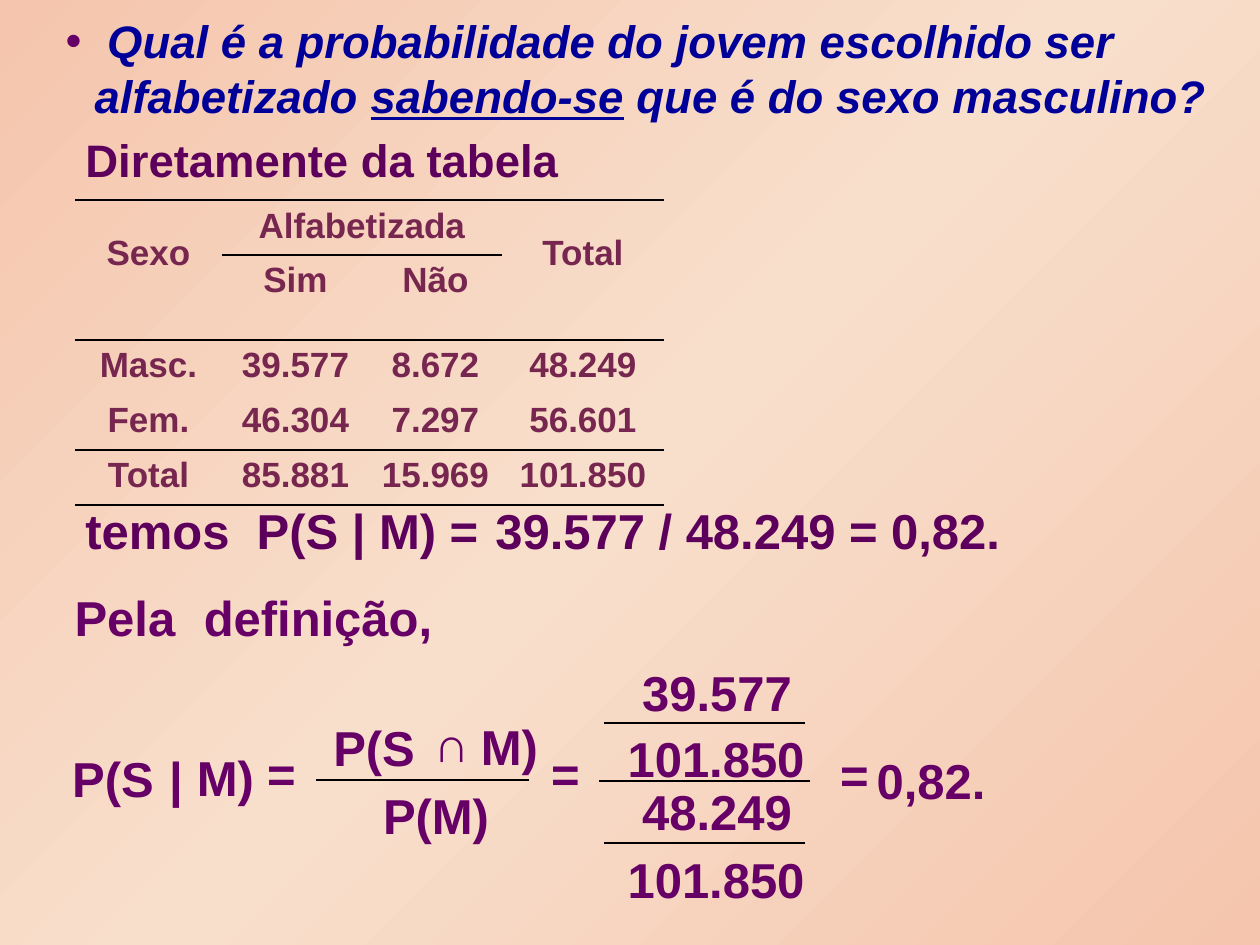
from copy import deepcopy
from dataclasses import dataclass

from lxml import etree
from pptx import Presentation
from pptx import util as u
from pptx.dml.color import RGBColor
from pptx.enum import shapes, text
from pptx.oxml.ns import qn

PX = 914400 / 126
NO_TABLE_STYLE = "{2D5ABB26-0587-4C30-8999-92F81FD0307C}"


def px(length):
    return u.Emu(round(length * PX))


@dataclass(frozen=True)
class Theme:
    font: str = "Arial"
    question: str = "000099"
    formula: str = "660066"
    step: str = "5C005C"
    table: str = "77274F"
    rule: str = "000000"
    backdrop: tuple = ((0, "F5C5AD"), (0.5, "F8DFCC"), (1, "F5C5AD"))
    heading_size: int = 26
    formula_size: int = 28
    table_size: int = 20
    table_rule: float = 1.08


class Board:
    """Holds the theme and the slide being filled."""

    def __init__(self, slide, theme):
        self.slide = slide
        self.theme = theme

    def style(self, paragraph, size, color, italic=None):
        font = paragraph.font
        font.name, font.size = self.theme.font, u.Pt(size)
        font.bold, font.italic = True, italic
        font.color.rgb = RGBColor.from_string(color)

    def backdrop(self):
        fill = self.slide.background.fill
        fill.gradient()
        fill.gradient_angle = 135
        stops = next(self.slide._element.iter(qn("a:gsLst")))
        stops.append(deepcopy(stops[0]))
        for stop, (position, color) in zip(fill.gradient_stops, self.theme.backdrop):
            stop.position = position
            stop.color.rgb = RGBColor.from_string(color)

    def question(self, x, y, w, h, parts, hanging):
        """Fill the title as a bulleted question; parts are (words, underlined)."""
        title = self.slide.shapes.title
        title.left, title.top, title.width, title.height = map(px, (x, y, w, h))
        frame = title.text_frame
        frame.auto_size = text.MSO_AUTO_SIZE.NONE
        frame.vertical_anchor = text.MSO_ANCHOR.MIDDLE
        paragraph = frame.paragraphs[0]
        paragraph.alignment = text.PP_ALIGN.LEFT
        properties = paragraph._p.get_or_add_pPr()
        properties.set("marL", str(px(hanging)))
        properties.set("indent", str(-px(hanging)))
        bullet_color = etree.SubElement(properties, qn("a:buClr"))
        etree.SubElement(bullet_color, qn("a:srgbClr"), val=self.theme.formula)
        etree.SubElement(properties, qn("a:buFont"), typeface=self.theme.font)
        etree.SubElement(properties, qn("a:buChar"), char="•")
        self.style(paragraph, self.theme.heading_size, self.theme.question, True)
        for words, underlined in parts:
            run = paragraph.add_run()
            run.text = words
            if underlined:
                run.font.underline = True

    def step(self, x, y, w, h, words, size):
        frame = self.slide.shapes.add_textbox(*map(px, (x, y, w, h))).text_frame
        frame.word_wrap = True
        frame.text = words
        self.style(frame.paragraphs[0], size, self.theme.step)

    def term(self, x, y, w, words):
        """Place one piece of a formula, centred with no margins."""
        frame = self.slide.shapes.add_textbox(*map(px, (x, y, w, 59))).text_frame
        frame.margin_left = frame.margin_top = 0
        frame.margin_right = frame.margin_bottom = 0
        frame.word_wrap = False
        frame.auto_size = text.MSO_AUTO_SIZE.SHAPE_TO_FIT_TEXT
        frame.text = words
        paragraph = frame.paragraphs[0]
        paragraph.alignment = text.PP_ALIGN.CENTER
        self.style(paragraph, self.theme.formula_size, self.theme.formula)

    def fraction_bar(self, left, right, y, weight):
        bar = self.slide.shapes.add_connector(
            shapes.MSO_CONNECTOR.STRAIGHT, px(left), px(y), px(right), px(y))
        bar.line.width = u.Pt(weight)
        bar.line.color.rgb = RGBColor.from_string(self.theme.rule)
        etree.SubElement(bar._element.spPr, qn("a:effectLst"))

    def cell_edges(self, cell, above, below):
        """Draw the asked rules and turn every other edge of the cell off."""
        properties = cell._tc.get_or_add_tcPr()
        edges = {"a:lnL": False, "a:lnR": False, "a:lnT": above, "a:lnB": below}
        for edge, drawn in edges.items():
            line = etree.SubElement(properties, qn(edge),
                                    w=str(u.Pt(self.theme.table_rule)))
            if drawn:
                fill = etree.SubElement(line, qn("a:solidFill"))
                etree.SubElement(fill, qn("a:srgbClr"), val=self.theme.rule)
            else:
                etree.SubElement(line, qn("a:noFill"))

    def table(self, x, y, widths, heights, rows, merges, ruled, low):
        """ruled holds the (row, column) places with a line on top; low is the
        top margin of cells that span rows."""
        frame = self.slide.shapes.add_table(
            len(rows), len(widths), px(x), px(y), px(sum(widths)), px(sum(heights)))
        grid = frame.table
        grid.first_row = grid.horz_banding = False
        grid._tbl.tblPr.find(qn("a:tableStyleId")).text = NO_TABLE_STYLE
        for column, width in zip(grid.columns, widths):
            column.width = px(width)
        for row, height in zip(grid.rows, heights):
            row.height = px(height)
        for start, end in merges:
            grid.cell(*start).merge(grid.cell(*end))
        for r, row in enumerate(rows):
            for c, words in enumerate(row):
                cell = grid.cell(r, c)
                span = cell.span_height if cell.is_merge_origin else 1
                self.cell_edges(cell, (r, c) in ruled, (r + span, c) in ruled)
                cell.fill.background()
                if span > 1:
                    cell.margin_top = px(low)
                if words:
                    cell.text = words
                    paragraph = cell.text_frame.paragraphs[0]
                    paragraph.alignment = text.PP_ALIGN.CENTER
                    self.style(paragraph, self.theme.table_size, self.theme.table)


def main():
    deck = Presentation()
    deck.slide_width, deck.slide_height = px(1260), px(945)
    theme = Theme()
    board = Board(deck.slides.add_slide(deck.slide_layouts[5]), theme)
    board.backdrop()
    board.question(53, 0, 1176, 136, [
        (" Qual é a probabilidade do jovem escolhido ser alfabetizado ", False),
        ("sabendo-se", True),
        (" que é do sexo masculino?", False)], hanging=29)

    board.step(73, 126, 1081, 68, "Diretamente da tabela", theme.heading_size)
    board.step(73, 494, 420, 72, "temos  P(S | M) =", theme.formula_size)
    board.step(483, 494, 557, 72, "39.577 / 48.249 = 0,82.", theme.formula_size)

    full_rules = {(r, c) for r in (0, 2, 4, 5) for c in range(4)}
    board.table(
        75, 200, (147, 147, 133, 162), (55, 85, 55, 55, 55),
        [("Sexo", "Alfabetizada", "", "Total"),
         ("", "Sim", "Não", ""),
         ("Masc.", "39.577", "8.672", "48.249"),
         ("Fem.", "46.304", "7.297", "56.601"),
         ("Total", "85.881", "15.969", "101.850")],
        merges=[((0, 0), (1, 0)), ((0, 1), (0, 2)), ((0, 3), (1, 3))],
        ruled=full_rules | {(1, 1), (1, 2)}, low=34)

    definition = [
        (74, 588, 102, "Pela"), (203, 588, 230, "definição,"),
        (72, 748, 82, "P(S"), (169, 748, 14, "|"), (197, 748, 57, "M)"),
        (262, 743, 39, "="),
        (333, 717, 82, "P(S"), (432, 713, 39, "∩"), (481, 717, 57, "M)"),
        (383, 786, 106, "P(M)"),
        (546, 743, 39, "="),
        (642, 662, 150, "39.577"), (627, 728, 178, "101.850"),
        (642, 781, 150, "48.249"), (627, 849, 178, "101.850"),
        (835, 745, 39, "="), (876, 750, 110, "0,82.")]
    for term in definition:
        board.term(*term)

    for bar in [(316, 529, 780, 1.5), (599, 810, 781, 1.5),
                (604, 805, 723, 0.75), (604, 805, 843, 0.75)]:
        board.fraction_bar(*bar)

    deck.save("out.pptx")


if __name__ == "__main__":
    main()
